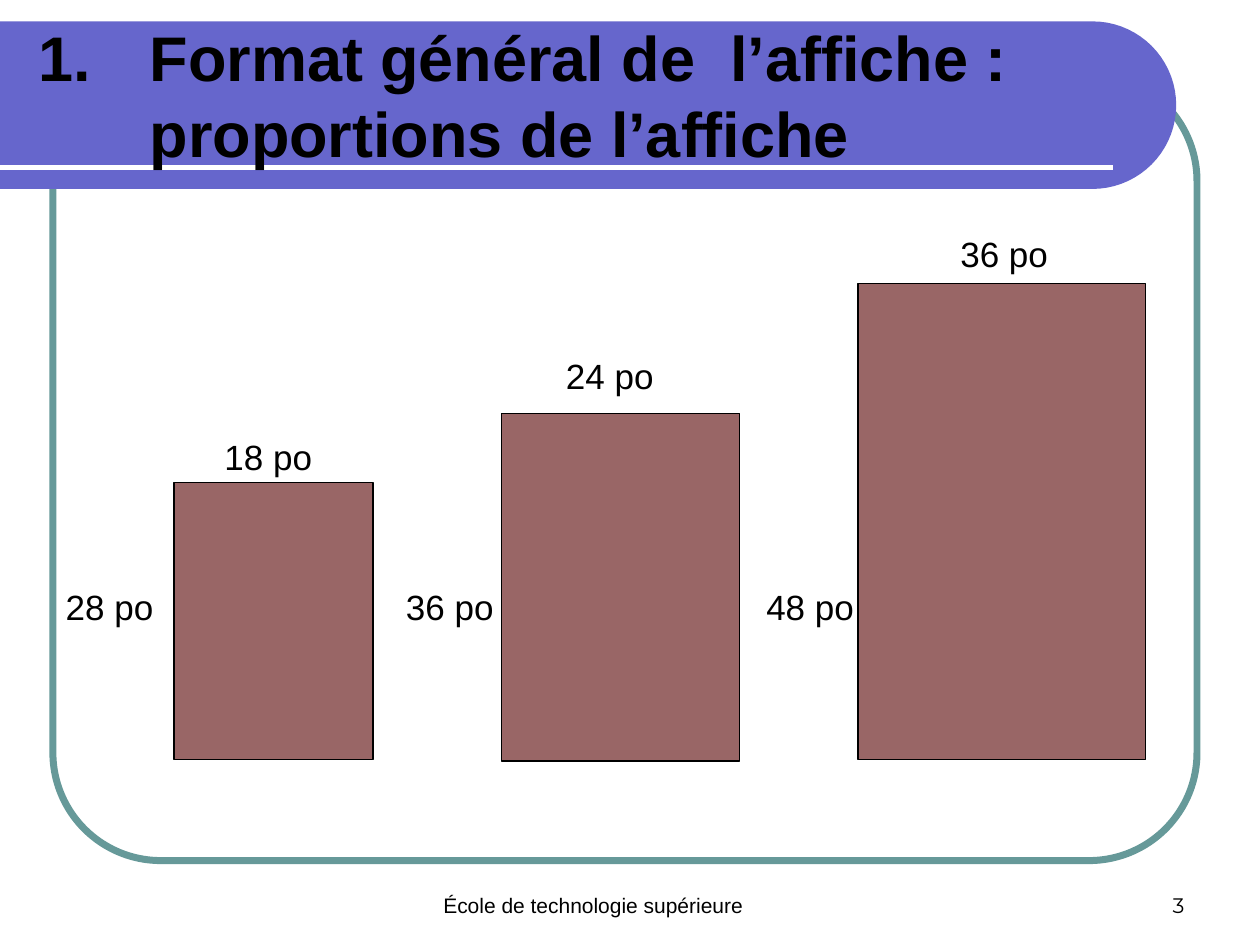
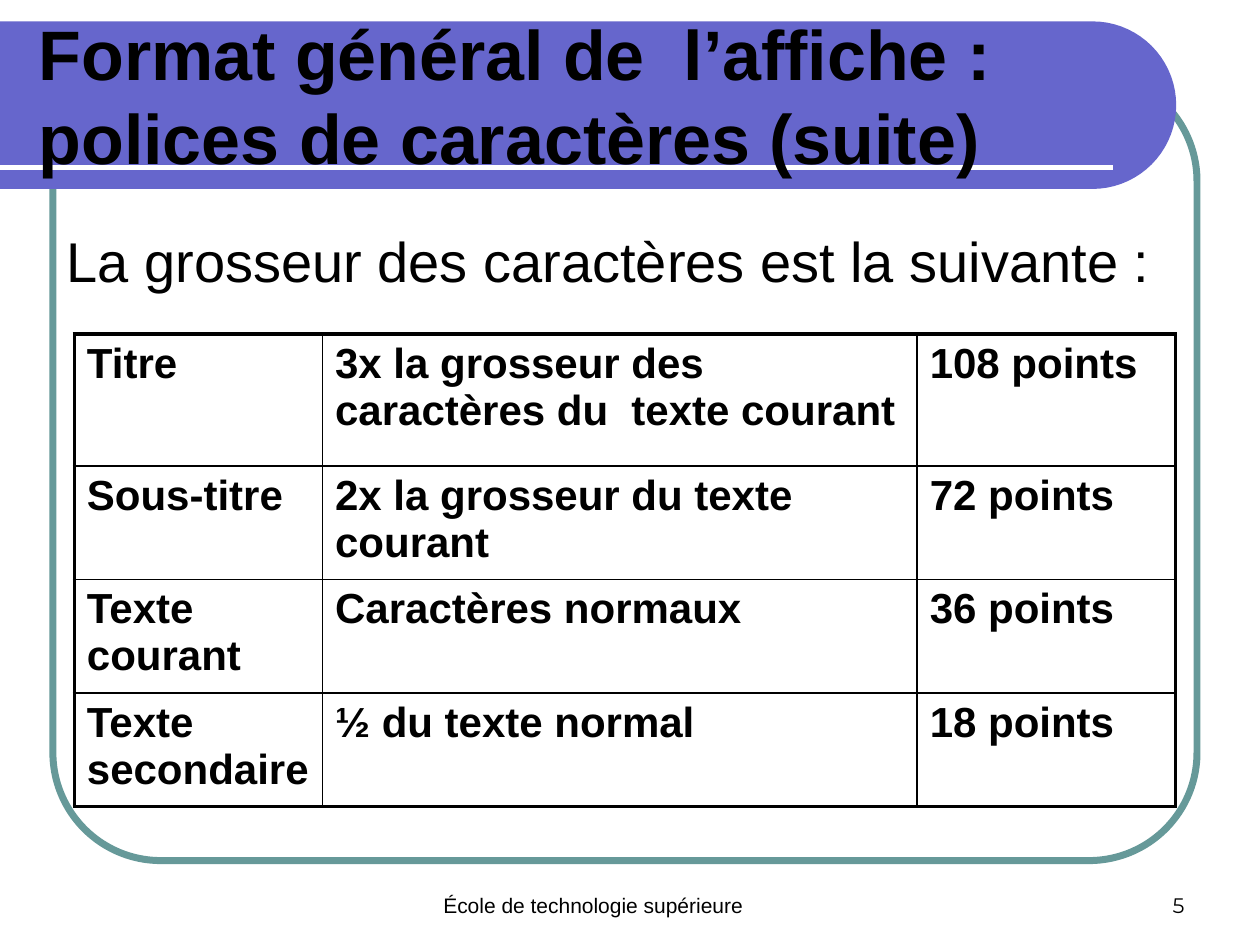
import math
from dataclasses import dataclass

from pptx import Presentation
from pptx import util as u
from pptx.dml.color import RGBColor
from pptx.enum import shapes, text
from pptx.oxml.ns import qn
from lxml import etree


@dataclass(frozen=True)
class Theme:
    ink: str = "000000"
    paper: str = "FFFFFF"
    band: str = "6666CC"
    frame: str = "669999"
    poster: str = "996666"
    font: str = "Arial"
    number_font: str = "Montserrat"
    title_numbered: int = 36
    title: int = 40
    body: int = 32
    cell: int = 24
    label: int = 20
    footer: int = 12
    outer_border: float = 2.25
    inner_border: float = 1


THEME = Theme()

POSTERS = [
    ((1.38, 3.83, 1.58, 2.2), ("18 po", 2.13, 3.62), ("28 po", 0.87)),
    ((3.98, 3.28, 1.89, 2.76), ("24 po", 4.84, 2.98), ("36 po", 3.57)),
    ((6.81, 2.25, 2.28, 3.78), ("36 po", 7.97, 2.01), ("48 po", 6.43)),
]
HEIGHT_LABEL_Y = 4.81

FONT_SIZES = [
    ("Titre", "3x la grosseur des caractères du  texte courant", "108 points"),
    ("Sous-titre", "2x la grosseur du texte courant", "72 points"),
    ("Texte courant", "Caractères normaux", "36 points"),
    ("Texte secondaire", "½ du texte normal", "18 points"),
]
COLUMN_WIDTHS = [1.97, 4.72, 2.05]
ROW_HEIGHTS = [1.05, 0.85, 0.85, 0.84]


def color(code):
    return RGBColor.from_string(code)


def inches(values):
    return [u.Inches(value) for value in values]


def style(para, size, bold=False, font=THEME.font):
    para.font.name = font
    para.font.size = u.Pt(size)
    para.font.bold = bold
    para.font.color.rgb = color(THEME.ink)


def add_text(page, area, words, size, bold=False, font=THEME.font,
             anchor=text.MSO_ANCHOR.TOP, align=text.PP_ALIGN.LEFT):
    frame = page.shapes.add_textbox(*inches(area)).text_frame
    frame.word_wrap = True
    frame.vertical_anchor = anchor
    para = frame.paragraphs[0]
    para.text = words
    para.alignment = align
    style(para, size, bold, font)
    return para


def add_label(page, words, center_x, center_y):
    add_text(page, (center_x - 0.5, center_y - 0.2, 1, 0.4), words, THEME.label,
             anchor=text.MSO_ANCHOR.MIDDLE, align=text.PP_ALIGN.CENTER)


def add_box(page, kind, area, line, width, fill=None):
    box = page.shapes.add_shape(kind, *inches(area))
    box.shadow.inherit = False
    box.line.color.rgb = color(line)
    box.line.width = u.Pt(width)
    if fill:
        box.fill.solid()
        box.fill.fore_color.rgb = color(fill)
    else:
        box.fill.background()
    return box


def add_band(page):
    top, bottom, arc_x = 0.17, 1.5, 8.67
    radius = (bottom - top) / 2
    angles = [math.radians(degree) for degree in range(-90, 91, 5)]
    arc = [(arc_x + radius * math.cos(angle), top + radius + radius * math.sin(angle))
           for angle in angles]
    builder = page.shapes.build_freeform(0, u.Inches(top), scale=1.0)
    builder.add_line_segments([inches(point) for point in arc + [(0, bottom)]])
    band = builder.convert_to_shape()
    band.shadow.inherit = False
    band.fill.solid()
    band.fill.fore_color.rgb = color(THEME.band)
    band.line.fill.background()


def add_rule(page):
    rule = page.shapes.add_connector(
        shapes.MSO_CONNECTOR.STRAIGHT, *inches((0, 1.33, 8.83, 1.33)))
    rule.line.color.rgb = color(THEME.paper)
    rule.line.width = u.Pt(3)
    etree.SubElement(rule._element.spPr, qn("a:effectLst"))


def number_title(para):
    properties = para._p.get_or_add_pPr()
    indent = u.Inches(0.88)
    properties.set("marL", str(indent))
    properties.set("indent", str(-indent))
    etree.SubElement(properties, qn("a:buFont"), typeface=THEME.font)
    etree.SubElement(properties, qn("a:buAutoNum"), type="arabicPeriod")


def add_page(deck, title, title_size, number):
    page = deck.slides.add_slide(deck.slide_layouts[6])
    frame = add_box(page, shapes.MSO_SHAPE.ROUNDED_RECTANGLE,
                    (0.42, 0.58, 9.08, 6.25), THEME.frame, 4)
    frame.adjustments[0] = 0.137
    add_band(page)
    add_rule(page)
    add_text(page, (3.42, 6.83, 3.17, 0.5), "École de technologie supérieure",
             THEME.footer, anchor=text.MSO_ANCHOR.BOTTOM)
    add_text(page, (7.17, 6.83, 2.33, 0.5), number, THEME.footer,
             font=THEME.number_font, anchor=text.MSO_ANCHOR.BOTTOM,
             align=text.PP_ALIGN.RIGHT)
    heading = add_text(page, (0.21, 0.25, 8.77, 1), title, title_size,
                       bold=True, anchor=text.MSO_ANCHOR.MIDDLE)
    return page, heading


def add_poster(page, area, width_label, height_label):
    add_box(page, shapes.MSO_SHAPE.RECTANGLE, area, THEME.ink, 0.75, THEME.poster)
    add_label(page, *width_label)
    add_label(page, *height_label, HEIGHT_LABEL_Y)


def set_borders(cell, outer_sides):
    properties = cell._tc.get_or_add_tcPr()
    for place, (side, outer) in enumerate(outer_sides.items()):
        width = THEME.outer_border if outer else THEME.inner_border
        line = etree.Element(qn(f"a:ln{side}"), w=str(u.Pt(width)))
        fill = etree.SubElement(line, qn("a:solidFill"))
        etree.SubElement(fill, qn("a:srgbClr"), val=THEME.ink)
        properties.insert(place, line)


def add_size_table(page, left, top, rows):
    area = (left, top, sum(COLUMN_WIDTHS), sum(ROW_HEIGHTS))
    table = page.shapes.add_table(len(rows), len(COLUMN_WIDTHS), *inches(area)).table
    table.first_row = table.horz_banding = False
    for column, width in zip(table.columns, COLUMN_WIDTHS):
        column.width = u.Inches(width)
    last_row, last_column = len(rows) - 1, len(COLUMN_WIDTHS) - 1
    for r, (row, height) in enumerate(zip(rows, ROW_HEIGHTS)):
        table.rows[r].height = u.Inches(height)
        for c, words in enumerate(row):
            cell = table.cell(r, c)
            cell.text = words
            cell.fill.background()
            style(cell.text_frame.paragraphs[0], THEME.cell, bold=True)
            set_borders(cell, {"L": c == 0, "R": c == last_column,
                               "T": r == 0, "B": r == last_row})


def main():
    deck = Presentation()
    deck.slide_width, deck.slide_height = inches((10, 7.5))

    page, heading = add_page(
        deck, "Format général de  l’affiche :\vproportions de l’affiche",
        THEME.title_numbered, "3")
    number_title(heading)
    for poster in POSTERS:
        add_poster(page, *poster)

    page, heading = add_page(
        deck, "Format général de  l’affiche : polices de caractères (suite)",
        THEME.title, "5")
    add_text(page, (0.43, 1.75, 9.14, 0.6),
             "La grosseur des caractères est la suivante :", THEME.body)
    add_size_table(page, 0.59, 2.65, FONT_SIZES)

    deck.save("out.pptx")


if __name__ == "__main__":
    main()
